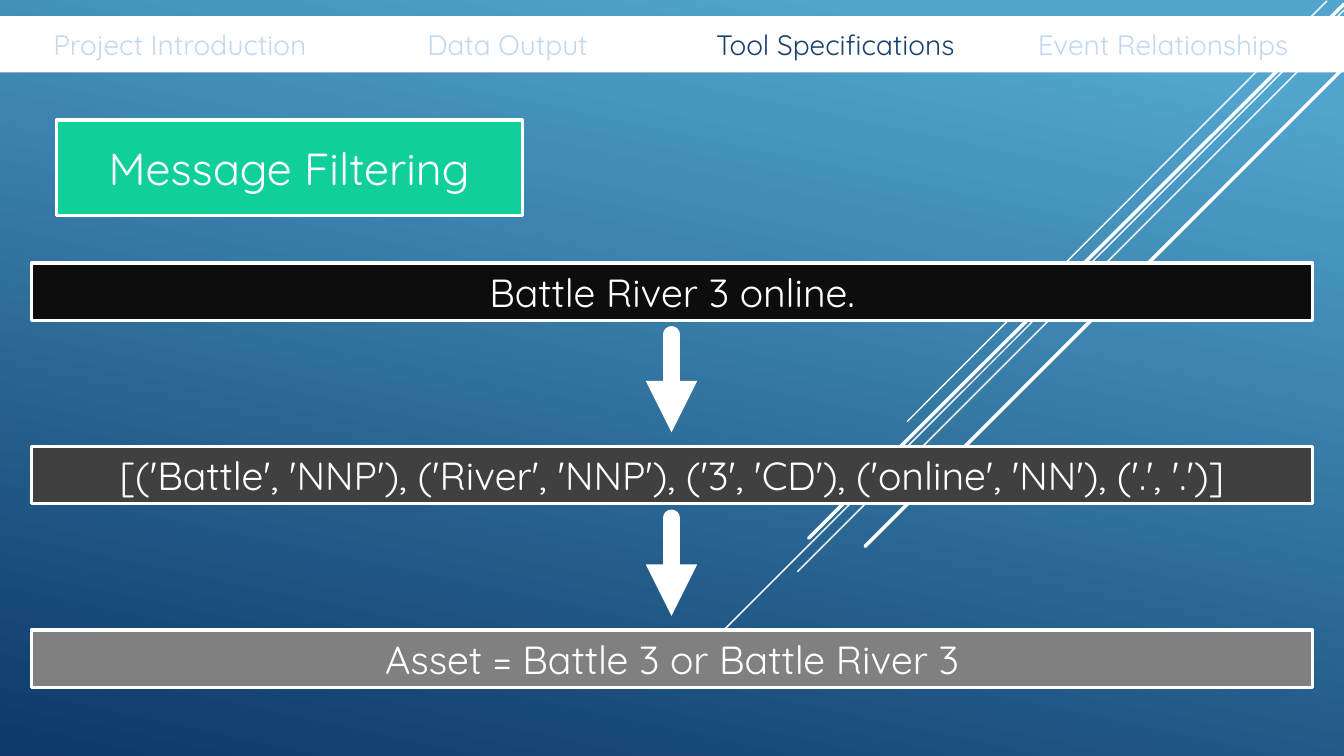
from dataclasses import dataclass

import lxml.etree
import pptx
import pptx.dml.color
import pptx.enum.shapes
import pptx.enum.text
import pptx.oxml.ns
import pptx.util

Inches = pptx.util.Inches
Pt = pptx.util.Pt
ANCHOR = pptx.enum.text.MSO_ANCHOR
AUTO = pptx.enum.text.MSO_AUTO_SIZE
RECT = pptx.enum.shapes.MSO_SHAPE.RECTANGLE
qn = pptx.oxml.ns.qn

COLORS = {
    "white": "FFFFFF",
    "sky": "51A5CF",
    "navy": "0D3868",
    "tab_off": "C1D8F2",
    "tab_on": "17406D",
    "green": "10CF9B",
    "black": "0D0D0D",
    "dark_gray": "404040",
    "gray": "808080",
}


@dataclass
class Stroke:
    x1: float
    y1: float
    x2: float
    y2: float
    width: float


@dataclass
class Step:
    text: str
    fill: str


RAYS = [
    Stroke(13.16, 0.01, 9, 4.18, 1),
    Stroke(13.33, 0.1, 6.68, 6.75, 1),
    Stroke(13.33, 0.25, 7.91, 5.67, 1),
    Stroke(13.33, 0.04, 8.02, 5.34, 2.5),
    Stroke(13.33, 0.67, 8.58, 5.42, 2.5),
]
TABS = ["Project Introduction", "Data Output", "Tool Specifications", "Event Relationships"]
ACTIVE_TAB = "Tool Specifications"
TAB_LEFT, TAB_WIDTH = 0.16, 3.25
STEPS = [
    Step("Battle River 3 online.", "black"),
    Step("[('Battle', 'NNP'), ('River', 'NNP'), ('3', 'CD'), ('online', 'NN'), ('.', '.')]", "dark_gray"),
    Step("Asset = Battle 3 or Battle River 3", "gray"),
]
STEP_TOP, STEP_PITCH, STEP_HEIGHT = 2.61, 1.82, 0.57
ARROW_X, ARROW_OFFSET, ARROW_LENGTH = 6.66, 0.71, 0.97


def rgb(name: str) -> pptx.dml.color.RGBColor:
    return pptx.dml.color.RGBColor.from_string(COLORS[name])


def write(sp, text: str, *, size: float, color: str = "white", anchor=ANCHOR.TOP, auto=AUTO.NONE) -> None:
    tf = sp.text_frame
    tf.word_wrap = True
    tf.auto_size = auto
    tf.vertical_anchor = anchor
    p = tf.paragraphs[0]
    p.alignment = pptx.enum.text.PP_ALIGN.CENTER
    r = p.add_run()
    r.text = text
    r.font.name = "Quicksand"
    r.font.size = Pt(size)
    r.font.color.rgb = rgb(color)


def paint(sp, fill: str, outlined: bool = True) -> None:
    sp.fill.solid()
    sp.fill.fore_color.rgb = rgb(fill)
    if outlined:
        sp.line.color.rgb = rgb("white")
        sp.line.width = Pt(2.25)
    else:
        sp.line.fill.background()


def add_box(s, left: float, top: float, width: float, height: float, fill: str, outlined: bool = True):
    sp = s.shapes.add_shape(RECT, Inches(left), Inches(top), Inches(width), Inches(height))
    sp.shadow.inherit = False
    paint(sp, fill, outlined)
    return sp


def add_stroke(s, stroke: Stroke, arrow: bool = False) -> None:
    sp = s.shapes.add_connector(
        pptx.enum.shapes.MSO_CONNECTOR.STRAIGHT,
        Inches(stroke.x1), Inches(stroke.y1), Inches(stroke.x2), Inches(stroke.y2),
    )
    sp.line.color.rgb = rgb("white")
    sp.line.width = Pt(stroke.width)
    ln = sp.line._get_or_add_ln()
    ln.set("cap", "rnd")
    if arrow:
        lxml.etree.SubElement(ln, qn("a:tailEnd"), type="triangle")
    lxml.etree.SubElement(sp._element.spPr, qn("a:effectLst"))


def set_background(s) -> None:
    fill = s.background.fill
    fill.gradient()
    fill.gradient_angle = 258
    for stop, (position, color) in zip(fill.gradient_stops, [(0.1, "sky"), (1, "navy")]):
        stop.position = position
        stop.color.rgb = rgb(color)


prs = pptx.Presentation()
prs.slide_width = Inches(13.33)
prs.slide_height = Inches(7.5)
s = prs.slides.add_slide(prs.slide_layouts[5])
set_background(s)

title = s.shapes.title
title.left, title.top, title.width, title.height = map(Inches, (0.56, 1.19, 4.62, 0.95))
paint(title, "green")
write(title, "Message Filtering", size=32, anchor=ANCHOR.MIDDLE)

for ray in RAYS:
    add_stroke(s, ray)

add_box(s, 0, 0.16, 13.33, 0.56, "white", outlined=False)
for i, tab in enumerate(TABS):
    sp = s.shapes.add_textbox(Inches(TAB_LEFT + i * TAB_WIDTH), Inches(0.22), Inches(TAB_WIDTH), Inches(0.44))
    color = "tab_on" if tab == ACTIVE_TAB else "tab_off"
    write(sp, tab, size=20, color=color, auto=AUTO.SHAPE_TO_FIT_TEXT)

for i, step in enumerate(STEPS):
    top = STEP_TOP + i * STEP_PITCH
    sp = add_box(s, 0.31, top, 12.71, STEP_HEIGHT, step.fill)
    write(sp, step.text, size=28, auto=AUTO.SHAPE_TO_FIT_TEXT)
    if i < len(STEPS) - 1:
        start = top + ARROW_OFFSET
        add_stroke(s, Stroke(ARROW_X, start, ARROW_X, start + ARROW_LENGTH, 12.25), arrow=True)

prs.save("out.pptx")
